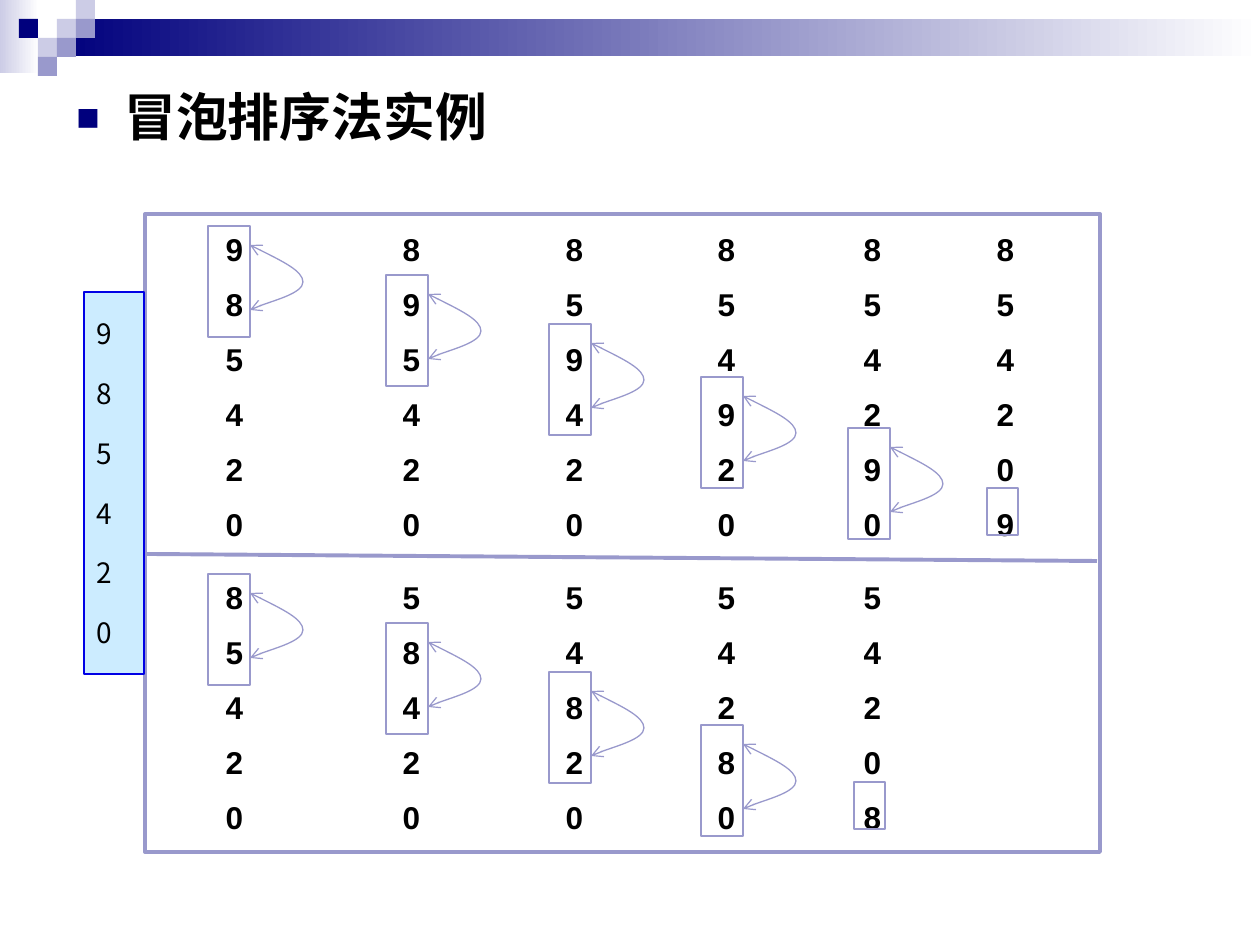
from lxml.etree import SubElement
from pptx import Presentation
from pptx.dml.color import RGBColor
from pptx.enum.shapes import MSO_CONNECTOR, MSO_SHAPE
from pptx.enum.text import MSO_ANCHOR, PP_ALIGN
from pptx.oxml.ns import qn
from pptx.util import Inches, Pt

NAVY = RGBColor(0x00, 0x00, 0x7D)
BLUE = RGBColor(0x00, 0x00, 0xE5)
LILAC = RGBColor(0x99, 0x99, 0xCC)
PALE_LILAC = RGBColor(0xCC, 0xCC, 0xE6)
SKY = RGBColor(0xCC, 0xEC, 0xFF)
WHITE = RGBColor(0xFF, 0xFF, 0xFF)
BLACK = RGBColor(0x00, 0x00, 0x00)

SCALE = Inches(1) / 126
CELL = 19
ROW = 54
COLUMNS = [203, 380, 543, 695, 841, 974]
SWAP_FRAMES = [(208, -2), (386, 47), (549, 96), (701, 149), (848, 200)]
SWAP_CURVES = [
    [(26, 13), (53, 26), (53, 37)],
    [(53, 48), (9, 60), (0, 65)],
]


def px(length):
    """Turn a length in px into EMU."""
    return round(length * SCALE)


class Board:
    """Hold the drawing style and the slide being filled."""

    def __init__(self, slide):
        self.slide = slide
        self.font = "Arial"
        self.cjk_font = "Noto Sans CJK SC"

    def rect(self, left, top, width, height, fill=None, line=None, weight=0.75):
        """Add a rectangle with an optional fill and outline."""
        shape = self.slide.shapes.add_shape(
            MSO_SHAPE.RECTANGLE, px(left), px(top), px(width), px(height))
        shape.shadow.inherit = False
        self.paint(shape, fill, line, weight)
        return shape

    def paint(self, shape, fill, line, weight):
        """Set the fill and outline of a shape."""
        if fill is None:
            shape.fill.background()
        else:
            shape.fill.solid()
            shape.fill.fore_color.rgb = fill
        if line is None:
            shape.line.fill.background()
        else:
            shape.line.color.rgb = line
            shape.line.width = Pt(weight)

    def fade(self, left, top, width, height, color):
        """Add a rectangle fading from a colour to white."""
        fill = self.rect(left, top, width, height).fill
        fill.gradient()
        fill.gradient_angle = 0
        for stop, position, tone in zip(fill.gradient_stops, (0, 1), (color, WHITE)):
            stop.position = position
            stop.color.rgb = tone

    def textbox(self, left, top, width, height):
        """Add a wrapping text box and return its text frame."""
        frame = self.slide.shapes.add_textbox(
            px(left), px(top), px(width), px(height)).text_frame
        frame.word_wrap = True
        return frame

    def style(self, paragraph, name, size, bold=False):
        """Set the font of a paragraph."""
        font = paragraph.font
        font.name, font.size, font.bold = name, Pt(size), bold
        font.color.rgb = BLACK

    def title(self, left, top, width, height, text):
        """Add the bulleted heading."""
        heading = self.textbox(left, top, width, height).paragraphs[0]
        heading.text = text
        heading.line_spacing = 0.9
        properties = heading._p.get_or_add_pPr()
        properties.set("marL", str(px(48)))
        properties.set("indent", str(-px(48)))
        tint = SubElement(properties, qn("a:buClr"))
        SubElement(tint, qn("a:srgbClr"), val=str(NAVY))
        SubElement(properties, qn("a:buSzPct"), val="75000")
        SubElement(properties, qn("a:buFont"), typeface=self.font)
        SubElement(properties, qn("a:buChar"), char="■")
        self.style(heading, self.font, 29.6, bold=True)

    def column(self, frame, values, name, size, gap, align, spacing=None, bold=False):
        """Write one value per paragraph into a text frame."""
        for index, value in enumerate(values):
            paragraph = frame.add_paragraph() if index else frame.paragraphs[0]
            paragraph.text = str(value)
            paragraph.alignment = align
            if spacing:
                paragraph.line_spacing = spacing
            if index:
                paragraph.space_before = Pt(gap)
            self.style(paragraph, name, size, bold)

    def swap_arrow(self, left, top):
        """Add a curved arrow with two heads."""
        builder = self.slide.shapes.build_freeform(0, 0, scale=SCALE)
        builder.add_line_segments([curve[-1] for curve in SWAP_CURVES], close=False)
        arrow = builder.convert_to_shape(px(left), px(top))
        arrow.shadow.inherit = False
        self.paint(arrow, None, LILAC, 0.75)
        outline = next(arrow._element.iter(qn("a:path")))
        for segment in outline.findall(qn("a:lnTo")):
            outline.remove(segment)
        for curve in SWAP_CURVES:
            bezier = SubElement(outline, qn("a:cubicBezTo"))
            for x, y in curve:
                SubElement(bezier, qn("a:pt"), x=str(x), y=str(y))
        stroke = arrow.line._get_or_add_ln()
        for end in ("a:headEnd", "a:tailEnd"):
            SubElement(stroke, qn(end), type="arrow")

    def divider(self, x1, y1, x2, y2):
        """Add a straight line."""
        line = self.slide.shapes.add_connector(
            MSO_CONNECTOR.STRAIGHT, px(x1), px(y1), px(x2), px(y2))
        line.line.color.rgb = LILAC
        line.line.width = Pt(2.25)
        SubElement(line._element.spPr, qn("a:effectLst"))

    def sorting_pass(self, values, top):
        """Draw each step of one bubble pass and return the resulting order."""
        values = list(values)
        last = len(values) - 1
        for step, left in enumerate(COLUMNS[:len(values)]):
            frame = self.textbox(left, top, 63, ROW * len(values) - 9)
            self.column(frame, values, self.font, 18, 12, PP_ALIGN.CENTER, 0.9, True)
            if step == last:
                self.rect(left + 13, top + ROW * last - 10, 31, 47, line=LILAC)
                break
            frame_left, offset = SWAP_FRAMES[step]
            self.rect(frame_left, top + offset, 42, 111, line=LILAC)
            self.swap_arrow(frame_left + 42, top + offset + 19)
            values[step], values[step + 1] = values[step + 1], values[step]
        return values


def main():
    """Build the bubble sort slide."""
    deck = Presentation()
    deck.slide_width, deck.slide_height = Inches(10), Inches(7.5)
    board = Board(deck.slides.add_slide(deck.slide_layouts[6]))

    board.fade(0, 0, 39, 73, PALE_LILAC)
    board.fade(57, 19, 1203, 37, NAVY)
    for column, row, color in [
        (3, 1, PALE_LILAC), (4, 0, PALE_LILAC), (4, 1, LILAC), (2, 2, PALE_LILAC),
        (1, 1, NAVY), (3, 2, LILAC), (2, 3, LILAC),
    ]:
        board.rect(column * CELL, row * CELL, CELL, CELL, color)

    board.title(64, 86, 1162, 78, "冒泡排序法实例")

    numbers = [9, 8, 5, 4, 2, 0]
    board.rect(145, 214, 955, 638, WHITE, LILAC, 2.25)
    after_first = board.sorting_pass(numbers, 228)
    board.divider(145, 554, 1097, 561)
    board.sorting_pass(after_first[:-1], 576)

    unsorted = board.rect(84, 292, 60, 382, SKY, BLUE).text_frame
    unsorted.vertical_anchor = MSO_ANCHOR.MIDDLE
    board.column(unsorted, numbers, board.cjk_font, 16, 15, PP_ALIGN.LEFT)

    deck.save("out.pptx")


if __name__ == "__main__":
    main()
